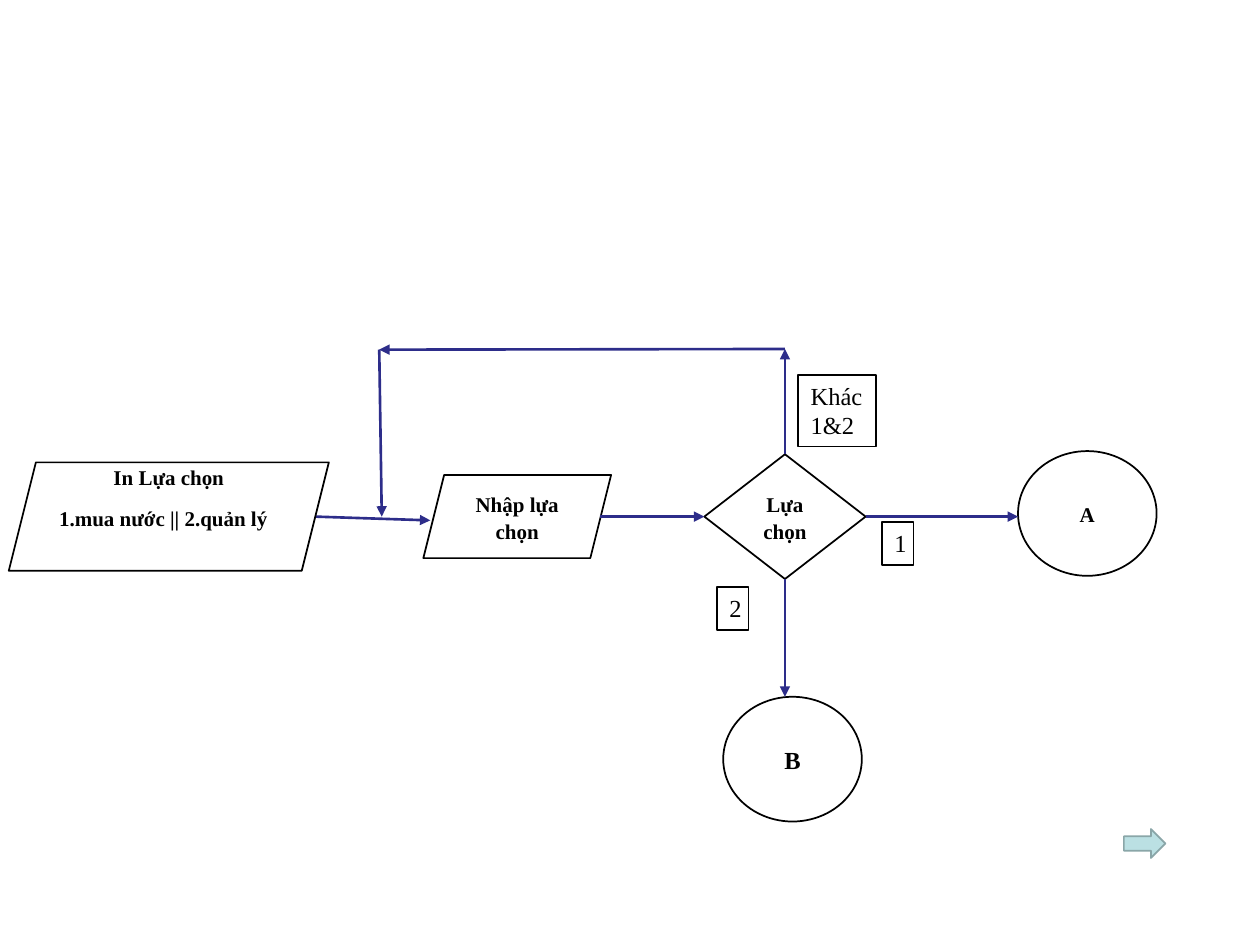
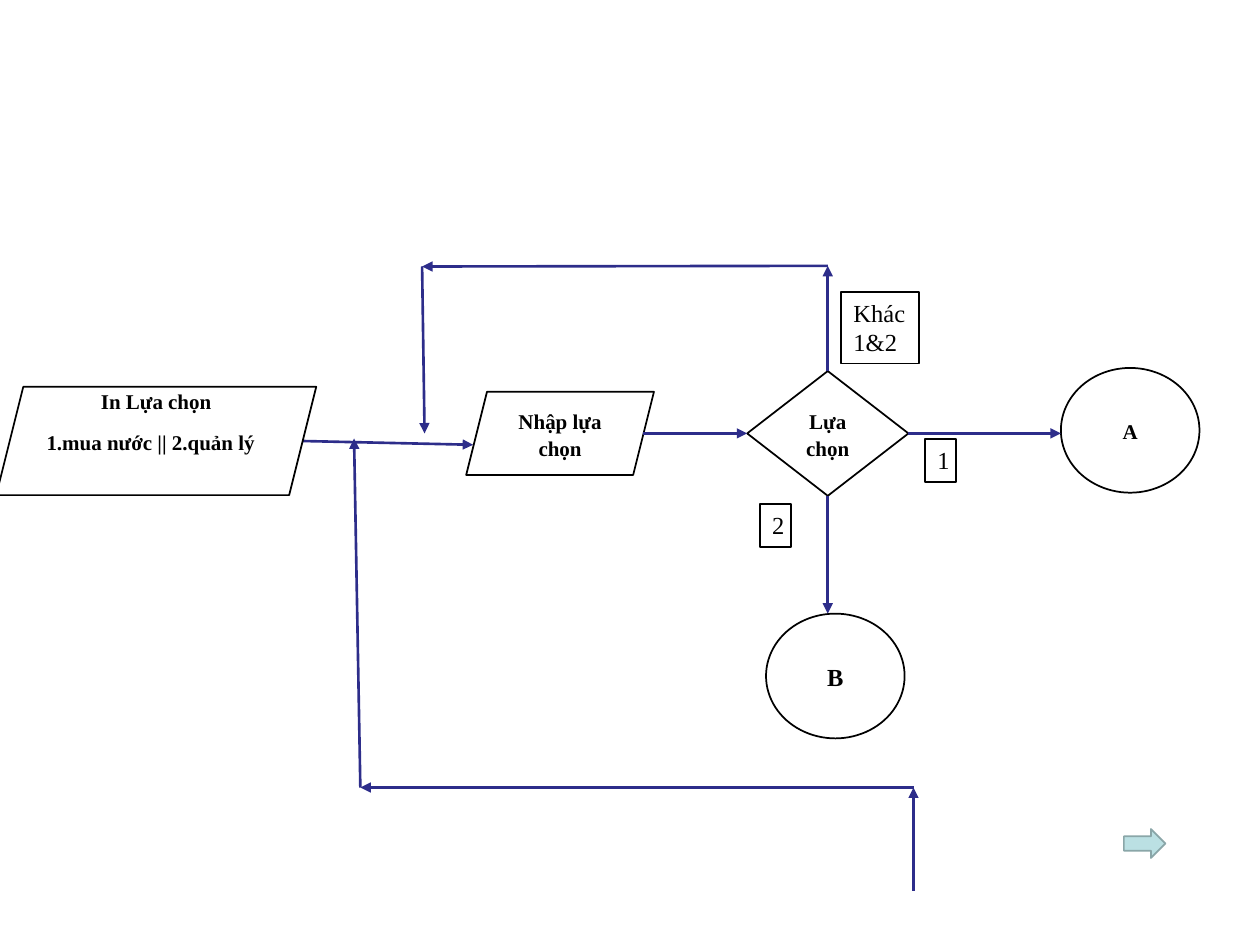
from itertools import pairwise
from lxml.etree import SubElement
from pptx import Presentation
from pptx.dml.color import RGBColor
from pptx.enum.shapes import MSO_CONNECTOR, MSO_SHAPE
from pptx.enum.text import MSO_ANCHOR, MSO_AUTO_SIZE, PP_ALIGN
from pptx.oxml.ns import qn
from pptx.util import Inches, Pt

# Shared look
FONT = "Times New Roman"
INK, PAPER, FLOW = "000000", "FFFFFF", "2D2D8A"
NEXT, RIM = "BBE0E3", "8AA6A8"

# Grid of 40 columns by 30 rows
WIDE, HIGH = Inches(10), Inches(7.5)
COLS, ROWS = 40, 30

# Sides of a shape where a line can join
TOP, LEFT, BASE, RIGHT = range(4)


def col(n):
    return round(WIDE * n / COLS)


def row(n):
    return round(HIGH * n / ROWS)


def tint(code):
    return RGBColor.from_string(code)


def shape(slide, kind, box, fill=PAPER, edge=INK):
    x, y, w, h = box
    item = slide.shapes.add_shape(kind, col(x), row(y), col(w), row(h))
    item.shadow.inherit = False
    if fill:
        item.fill.solid()
        item.fill.fore_color.rgb = tint(fill)
    else:
        item.fill.background()
    item.line.color.rgb = tint(edge)
    item.line.width = Pt(1)
    return item


def write(para, text, size, bold):
    run = para.add_run()
    run.text = text
    font = run.font
    font.name, font.size, font.bold = FONT, Pt(size), bold
    font.color.rgb = tint(INK)


def node(slide, kind, box, lines, size=12):
    """Flowchart step; lines holds pairs of text and alignment."""
    item = shape(slide, kind, box)
    frame = item.text_frame
    frame.word_wrap = True
    frame.vertical_anchor = MSO_ANCHOR.MIDDLE
    for i, (text, align) in enumerate(lines):
        para = frame.add_paragraph() if i else frame.paragraphs[0]
        para.alignment = align
        para.line_spacing, para.space_after = 1.07, Pt(8)
        write(para, text, size, True)
    return item


def label(slide, box, text):
    frame = shape(slide, MSO_SHAPE.RECTANGLE, box, fill=None).text_frame
    frame.word_wrap = True
    frame.vertical_anchor = MSO_ANCHOR.TOP
    frame.auto_size = MSO_AUTO_SIZE.SHAPE_TO_FIT_TEXT
    para = frame.paragraphs[0]
    para.alignment = PP_ALIGN.LEFT
    write(para, text, 14, False)


def arrow(slide, start, end):
    line = slide.shapes.add_connector(
        MSO_CONNECTOR.STRAIGHT,
        col(start[0]), row(start[1]), col(end[0]), row(end[1]))
    line.line.color.rgb = tint(FLOW)
    line.line.width = Pt(1.5)
    SubElement(line.line._get_or_add_ln(), qn("a:tailEnd"), type="triangle")
    SubElement(line._element.spPr, qn("a:effectLst"))
    return line


def route(slide, points):
    return [arrow(slide, a, b) for a, b in pairwise(points)]


def choice(slide, mid, menu):
    """Menu flow around the diamond's centre; menu is its first step's corner."""
    def at(x, y):
        return mid[0] + x, mid[1] + y

    def area(x, y, w, h):
        return (*at(x, y), w, h)

    def step(kind, box, text, size=12):
        return node(slide, kind, area(*box), [(text, PP_ALIGN.CENTER)], size)

    # Steps
    left, top = menu
    arrow(slide, (left + 9.72, top + 1.72), at(-11.26, 0.36 if top < 14 else 0.12))
    step(MSO_SHAPE.PARALLELOGRAM, (-11.48, -1.32, 5.96, 2.64), "Nhập lựa chọn")
    test = step(MSO_SHAPE.DIAMOND, (-2.56, -1.98, 5.12, 3.96), "Lựa chọn")
    for x, y, text, size in [(7.4, -2.08, "A", 12), (-1.96, 5.72, "B", 14)]:
        step(MSO_SHAPE.FLOWCHART_CONNECTOR, (x, y, 4.4, 3.96), text, size)

    # Lines at the diamond, and the loop back for a wrong entry
    arrow(slide, at(-5.88, 0), at(-2.56, 0)).end_connect(test, LEFT)
    arrow(slide, at(2.56, 0), at(7.4, 0)).begin_connect(test, RIGHT)
    arrow(slide, at(0, 1.98), at(0, 5.72)).begin_connect(test, BASE)
    loop = route(slide, [at(0, -1.98), at(0, -5.32),
                         at(-12.88, -5.3), at(-12.8, 0)])
    loop[0].begin_connect(test, TOP)

    # Answers
    for box, text in [((0.42, -4.5, 2.48, 2.28), "Khác 1&2"),
                      ((3.08, 0.18, 1, 1.36), "1"),
                      ((-2.16, 2.24, 1, 1.36), "2")]:
        label(slide, area(*box), text)

    # Menu shown first, its text raised by the bottom margin
    lines = [("In Lựa chọn", PP_ALIGN.CENTER),
             ("1.mua nước || 2.quản lý", PP_ALIGN.LEFT)]
    first = node(slide, MSO_SHAPE.PARALLELOGRAM, (left, top, 10.16, 3.44), lines)
    first.text_frame.margin_bottom = Inches(0.37)


def page(deck):
    slide = deck.slides.add_slide(deck.slide_layouts[6])
    shape(slide, MSO_SHAPE.RIGHT_ARROW, (35.68, 26.32, 1.32, 0.92), NEXT, RIM)
    return slide


def main():
    deck = Presentation()
    deck.slide_width, deck.slide_height = WIDE, HIGH

    # Slide 1: first choice
    choice(page(deck), (24.92, 16.4), (0.28, 14.68))

    # Slide 2: same choice, with the way back from later steps
    slide = page(deck)
    choice(slide, (26.28, 13.76), (-0.12, 12.28))
    route(slide, [(29, 28.28), (29, 25), (11.44, 25), (11.24, 13.92)])

    deck.save("out.pptx")


if __name__ == "__main__":
    main()
